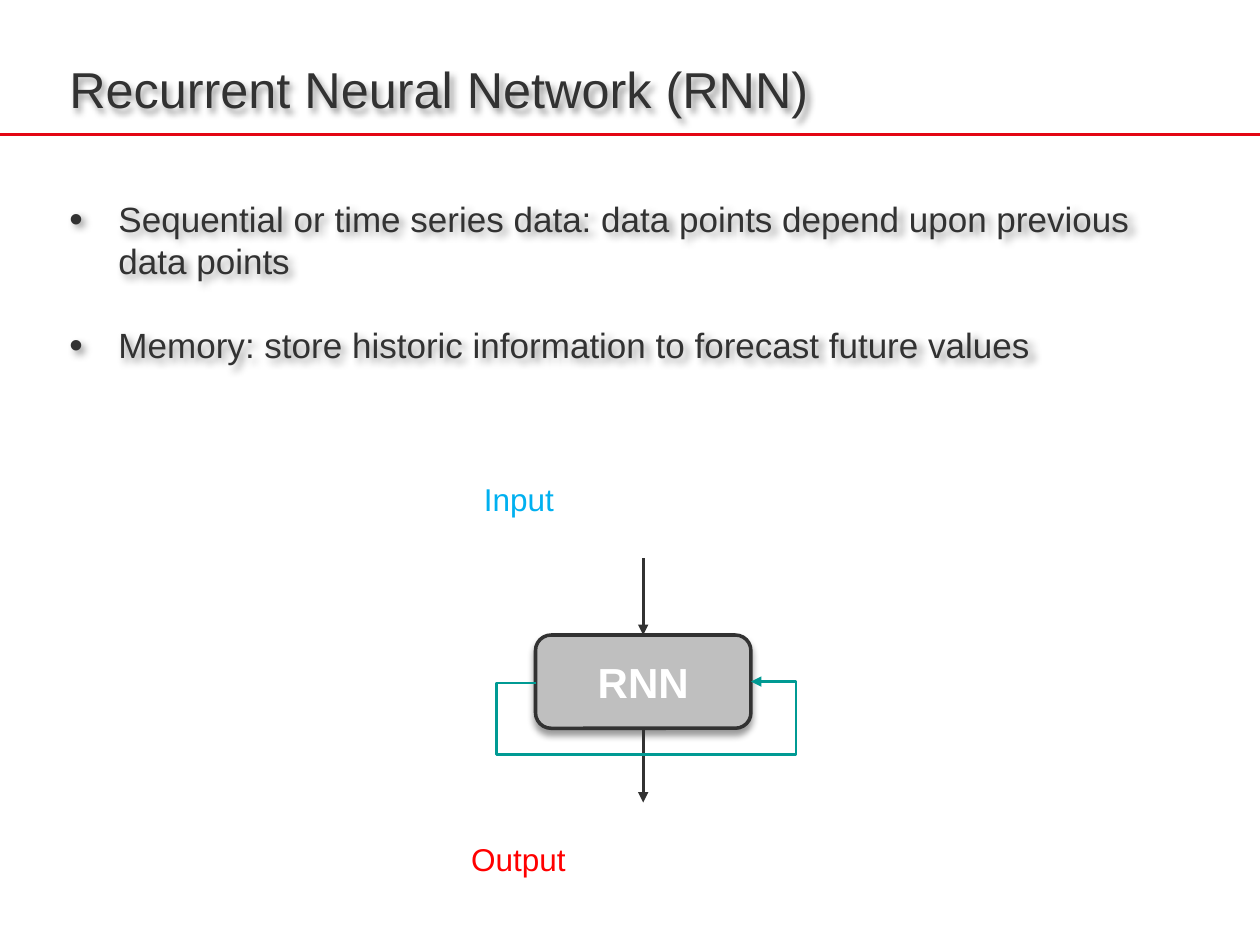
import pptx
import pptx.util
import pptx.dml.color
import pptx.enum.shapes
import pptx.enum.text
import pptx.oxml
import pptx.oxml.ns

Inches, Pt = pptx.util.Inches, pptx.util.Pt
RGBColor = pptx.dml.color.RGBColor
qn = pptx.oxml.ns.qn
KIND = pptx.enum.shapes.MSO_CONNECTOR
ALIGN = pptx.enum.text.PP_ALIGN
ANCHOR = pptx.enum.text.MSO_ANCHOR
FIT = pptx.enum.text.MSO_AUTO_SIZE

DARK = RGBColor(0x32, 0x32, 0x32)
RED = RGBColor(0xE3, 0x06, 0x13)
GREY = RGBColor(0xBF, 0xBF, 0xBF)
WHITE = RGBColor(0xFF, 0xFF, 0xFF)
TEAL = RGBColor(0x00, 0x9A, 0x93)
INPUT = RGBColor(0x00, 0xB0, 0xF0)
OUTPUT = RGBColor(0xFF, 0x00, 0x00)
FLAT = {"margin_left": 0, "margin_top": 0, "margin_right": 0, "margin_bottom": 0}


def write(par, text, size, color, bold=False):
    run = par.add_run()
    run.text = text
    look = {"name": "Arial", "size": Pt(size), "bold": bold}
    for key, value in look.items():
        setattr(run.font, key, value)
    run.font.color.rgb = color


def link(kind, start, end, color, arrow=True):
    line = slide.shapes.add_connector(kind, *map(Inches, start + end))
    line.line.color.rgb = color
    line.line.width = Pt(1.5)
    if arrow:
        tail = pptx.oxml.parse_xml(
            f'<a:tailEnd {pptx.oxml.ns.nsdecls("a")} type="triangle"/>')
        line.line._get_or_add_ln().append(tail)
    pptx.oxml.ns.qn
    line._element.spPr.append(pptx.oxml.parse_xml(
        f'<a:effectLst {pptx.oxml.ns.nsdecls("a")}/>'))
    return line


deck = pptx.Presentation()
deck.slide_width, deck.slide_height = Inches(10), Inches(7.5)
slide = deck.slides.add_slide(deck.slide_layouts[1])
link(KIND.STRAIGHT, (0, 1.07), (10, 1.07), RED, arrow=False)

title, body = slide.placeholders
box = slide.shapes.add_shape(
    pptx.enum.shapes.MSO_SHAPE.ROUNDED_RECTANGLE,
    Inches(4.25), Inches(5.04), Inches(1.71), Inches(0.74))
box.fill.solid()
box.fill.fore_color.rgb = GREY
box.line.color.rgb = DARK
box.line.width = Pt(2)

for shape, top, height, anchor in ((title, 0.44, 0.53, ANCHOR.MIDDLE),
                                   (body, 1.57, 1.88, ANCHOR.TOP)):
    place = {"left": Inches(0.55), "top": Inches(top),
             "width": Inches(8.86), "height": Inches(height)}
    for key, value in place.items():
        setattr(shape, key, value)
    frame = {**FLAT, "vertical_anchor": anchor, "word_wrap": True,
             "auto_size": FIT.NONE}
    for key, value in frame.items():
        setattr(shape.text_frame, key, value)

head = title.text_frame.paragraphs[0]
head.alignment = ALIGN.LEFT
write(head, "Recurrent Neural Network (RNN)", 28.8, DARK)

points = (
    "Sequential or time series data: data points depend upon previous data points",
    "Memory: store historic information to forecast future values",
)
for index, text in enumerate(points):
    par = body.text_frame.add_paragraph() if index else body.text_frame.paragraphs[0]
    props = par._p.get_or_add_pPr()
    props.set("marL", str(Inches(0.39)))
    props.set("indent", str(-Inches(0.39)))
    for tag, key, value in (("buSzPct", "val", "110000"),
                            ("buFont", "typeface", "Arial"),
                            ("buChar", "char", "•")):
        props.append(pptx.oxml.parse_xml(
            f'<a:{tag} {pptx.oxml.ns.nsdecls("a")} {key}="{value}"/>'))
    par.space_before = Pt(24 * index)
    par.line_spacing = Pt(24)
    write(par, text, 20, DARK)

label = box.text_frame.paragraphs[0]
label.alignment = ALIGN.CENTER
box.text_frame.vertical_anchor = ANCHOR.MIDDLE
write(label, "RNN", 24, WHITE, bold=True)

for shape, angle in ((title, 45), (body, 45), (box, 90)):
    shape.shadow.inherit = False
    shape._element.spPr.find(qn("a:effectLst")).append(pptx.oxml.parse_xml(
        f'<a:outerShdw {pptx.oxml.ns.nsdecls("a")} blurRad="{Pt(4)}" '
        f'dist="{Pt(3)}" dir="{angle * 60000}" rotWithShape="0">'
        '<a:srgbClr val="000000"><a:alpha val="40000"/></a:srgbClr></a:outerShdw>'))

feed = link(KIND.STRAIGHT, (5.1, 4.43), (5.1, 5.04), DARK)
feed.end_connect(box, 0)
drain = link(KIND.STRAIGHT, (5.1, 5.78), (5.1, 6.37), DARK)
drain.begin_connect(box, 2)
feed.begin_x = drain.end_x = feed.end_x

for text, left, top, width, color in (("Input", 3.84, 3.81, 0.56, INPUT),
                                      ("Output", 3.74, 6.67, 0.76, OUTPUT)):
    note = slide.shapes.add_textbox(
        Inches(left), Inches(top), Inches(width), Inches(0.3))
    frame = {**FLAT, "word_wrap": False, "auto_size": FIT.SHAPE_TO_FIT_TEXT}
    for key, value in frame.items():
        setattr(note.text_frame, key, value)
    write(note.text_frame.paragraphs[0], text, 18, color)

loop = link(KIND.ELBOW, (4.25, 5.42), (5.96, 5.41), TEAL)
geom = loop._element.spPr.find(qn("a:prstGeom"))
geom.set("prst", "bentConnector5")
guides = geom.get_or_add_avLst()
for index, ratio in enumerate((-0.18, -58, 1.21), 1):
    guides.append(pptx.oxml.parse_xml(
        f'<a:gd {pptx.oxml.ns.nsdecls("a")} name="adj{index}" '
        f'fmla="val {round(ratio * 100000)}"/>'))

deck.save("out.pptx")
